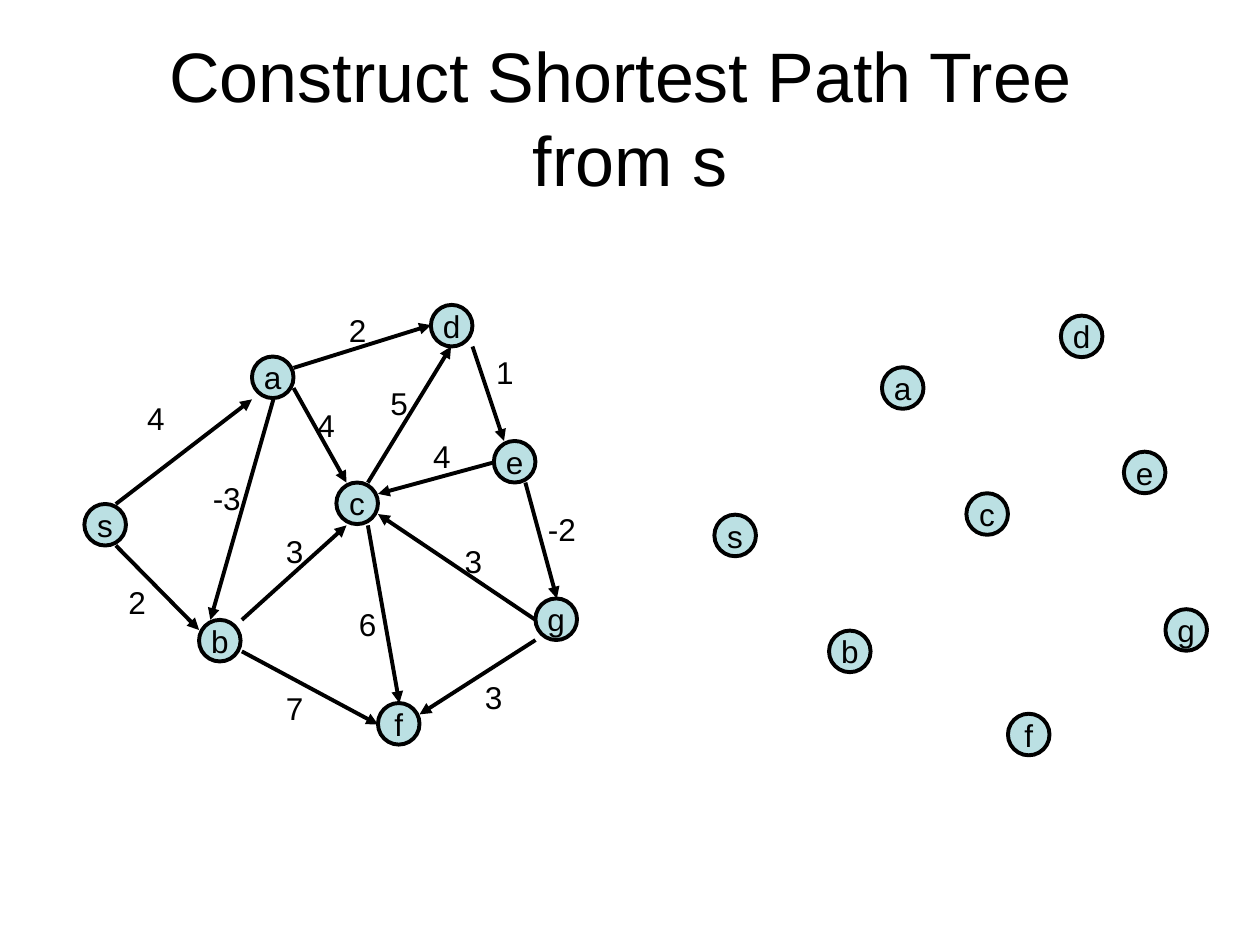
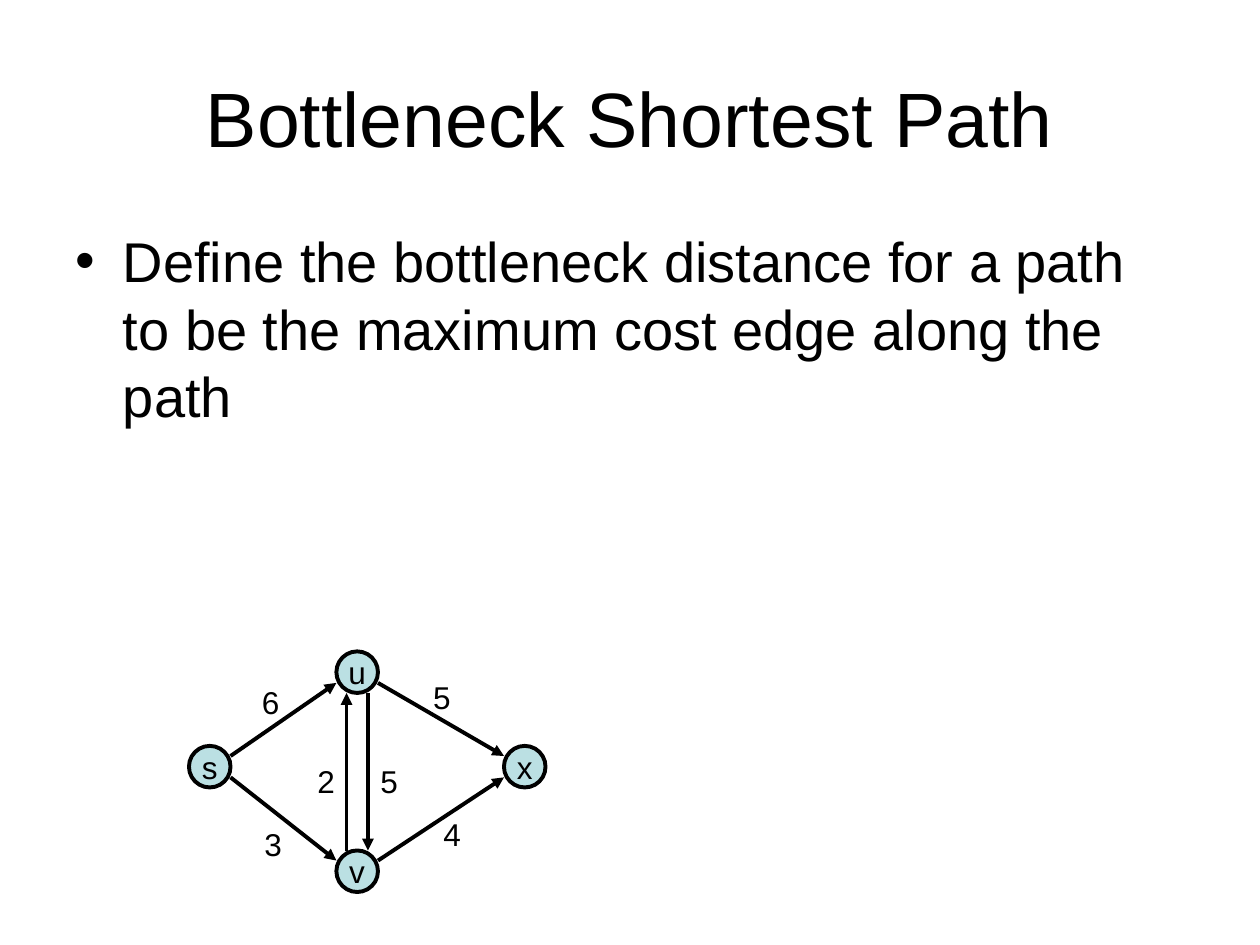
from dataclasses import dataclass

import pptx
import pptx.dml.color
import pptx.enum.shapes
import pptx.enum.text
import pptx.oxml
import pptx.oxml.ns
import pptx.presentation
import pptx.shapes.autoshape
import pptx.slide
import pptx.text.text
import pptx.util
from pptx.util import Inches

COLORS = {"ink": "000000", "node": "BBE0E3", "page": "FFFFFF"}
FONT = "Arial"
GRAPH_SIZE = 18
STROKE = 2.25
NODE_DIAMETER = 0.33
LABEL_HEIGHT = 0.4
CENTER = pptx.enum.text.PP_ALIGN.CENTER
MIDDLE = pptx.enum.text.MSO_ANCHOR.MIDDLE

Point = tuple[float, float]


@dataclass(frozen=True)
class Node:
    name: str
    left: float
    top: float


@dataclass(frozen=True)
class Edge:
    cost: str
    start: Point
    end: Point
    label: Point


TREE_NODES = [
    Node("a", 2, 2.83),
    Node("b", 1.58, 4.92),
    Node("c", 2.67, 3.83),
    Node("s", 0.67, 4),
    Node("e", 3.92, 3.5),
    Node("g", 4.25, 4.75),
    Node("f", 3, 5.58),
    Node("d", 3.42, 2.42),
]
TREE_EDGES = [
    Edge("4", (0.92, 4), (2, 3.17), (1.07, 3.12)),
    Edge("2", (2.33, 2.92), (3.42, 2.58), (2.67, 2.42)),
    Edge("4", (2.33, 3.08), (2.75, 3.83), (2.42, 3.17)),
    Edge("3", (1.92, 4.92), (2.75, 4.17), (2.17, 4.17)),
    Edge("2", (0.92, 4.33), (1.58, 5), (0.92, 4.58)),
    Edge("-3", (2.17, 3.17), (1.67, 4.92), (1.59, 3.75)),
    Edge("7", (1.92, 5.17), (3, 5.75), (2.17, 5.42)),
    Edge("6", (2.92, 4.17), (3.17, 5.58), (2.75, 4.75)),
    Edge("5", (2.92, 3.83), (3.58, 2.75), (3, 3)),
    Edge("4", (3.92, 3.67), (3, 3.92), (3.34, 3.42)),
    Edge("1", (3.75, 2.75), (4, 3.5), (3.84, 2.75)),
    Edge("-2", (4.17, 3.83), (4.42, 4.75), (4.25, 4)),
    Edge("3", (4.25, 4.92), (3, 4.08), (3.59, 4.25)),
    Edge("3", (4.25, 5.08), (3.33, 5.67), (3.75, 5.33)),
]
TREE_COPY_SHIFT = (5, 0.085)

BOTTLENECK_NODES = [
    Node("s", 1.5, 5.92),
    Node("v", 2.67, 6.75),
    Node("x", 4, 5.92),
    Node("u", 2.67, 5.17),
]
BOTTLENECK_EDGES = [
    Edge("6", (1.83, 6), (2.67, 5.42), (1.98, 5.37)),
    Edge("2", (2.75, 6.75), (2.75, 5.5), (2.42, 6)),
    Edge("3", (1.83, 6.17), (2.67, 6.83), (2, 6.5)),
    Edge("5", (3, 5.42), (4, 6), (3.34, 5.33)),
    Edge("4", (3, 6.83), (4, 6.17), (3.42, 6.42)),
    Edge("5", (2.92, 5.5), (2.92, 6.75), (2.92, 6)),
]


def color(name: str) -> pptx.dml.color.RGBColor:
    return pptx.dml.color.RGBColor.from_string(COLORS[name])


def add_run(paragraph: pptx.text.text._Paragraph, words: str, size: float) -> None:
    run = paragraph.add_run()
    run.text = words
    run.font.name = FONT
    run.font.size = pptx.util.Pt(size)
    run.font.color.rgb = color("ink")


def place(holder: pptx.shapes.autoshape.Shape, left: float, top: float,
          width: float, height: float) -> None:
    holder.left, holder.top = Inches(left), Inches(top)
    holder.width, holder.height = Inches(width), Inches(height)
    holder.text_frame.auto_size = pptx.enum.text.MSO_AUTO_SIZE.NONE


def add_titled_slide(deck: pptx.presentation.Presentation, layout: int,
                     lines: list[str], size: float) -> pptx.slide.Slide:
    slide = deck.slides.add_slide(deck.slide_layouts[layout])
    slide.background.fill.solid()
    slide.background.fill.fore_color.rgb = color("page")
    heading = slide.shapes.title
    place(heading, 0.5, 0.3, 9, 1.25)
    heading.text_frame.vertical_anchor = MIDDLE
    paragraph = heading.text_frame.paragraphs[0]
    paragraph.alignment = CENTER
    for index, line in enumerate(lines):
        if index:
            paragraph.add_line_break()
        add_run(paragraph, line, size)
    return slide


def draw_node(slide: pptx.slide.Slide, node: Node, shift: Point) -> None:
    circle = slide.shapes.add_shape(
        pptx.enum.shapes.MSO_SHAPE.OVAL,
        Inches(node.left + shift[0]), Inches(node.top + shift[1]),
        Inches(NODE_DIAMETER), Inches(NODE_DIAMETER))
    circle.shadow.inherit = False
    circle.fill.solid()
    circle.fill.fore_color.rgb = color("node")
    circle.line.color.rgb = color("ink")
    circle.line.width = pptx.util.Pt(STROKE)
    circle.text_frame.word_wrap = False
    circle.text_frame.vertical_anchor = MIDDLE
    paragraph = circle.text_frame.paragraphs[0]
    paragraph.alignment = CENTER
    add_run(paragraph, node.name, GRAPH_SIZE)


def draw_arrow(slide: pptx.slide.Slide, edge: Edge) -> None:
    arrow = slide.shapes.add_connector(
        pptx.enum.shapes.MSO_CONNECTOR.STRAIGHT,
        *map(Inches, edge.start + edge.end))
    arrow.line.color.rgb = color("ink")
    arrow.line.width = pptx.util.Pt(STROKE)
    tip = pptx.oxml.parse_xml(
        f'<a:tailEnd {pptx.oxml.ns.nsdecls("a")} type="triangle"/>')
    arrow.line._get_or_add_ln().append(tip)
    arrow._element.spPr.append(
        pptx.oxml.parse_xml(f'<a:effectLst {pptx.oxml.ns.nsdecls("a")}/>'))


def draw_cost(slide: pptx.slide.Slide, edge: Edge) -> None:
    width = 0.34 if len(edge.cost) == 1 else 0.42
    cost = slide.shapes.add_textbox(
        *map(Inches, edge.label), Inches(width), Inches(LABEL_HEIGHT))
    cost.text_frame.word_wrap = False
    cost.text_frame.auto_size = pptx.enum.text.MSO_AUTO_SIZE.SHAPE_TO_FIT_TEXT
    add_run(cost.text_frame.paragraphs[0], edge.cost, GRAPH_SIZE)


def draw_graph(slide: pptx.slide.Slide, nodes: list[Node], edges: list[Edge],
               shift: Point = (0, 0)) -> None:
    for node in nodes:
        draw_node(slide, node, shift)
    for edge in edges:
        draw_arrow(slide, edge)
    for edge in edges:
        draw_cost(slide, edge)


def build_tree_slide(deck: pptx.presentation.Presentation) -> None:
    slide = add_titled_slide(
        deck, 5, ["Construct Shortest Path Tree ", "from s"], 40)
    draw_graph(slide, TREE_NODES, TREE_EDGES)
    draw_graph(slide, TREE_NODES, [], TREE_COPY_SHIFT)


def build_bottleneck_slide(deck: pptx.presentation.Presentation) -> None:
    slide = add_titled_slide(deck, 1, ["Bottleneck Shortest Path"], 44)
    definition = slide.placeholders[1]
    place(definition, 0.5, 1.75, 9, 1.83)
    paragraph = definition.text_frame.paragraphs[0]
    paragraph.space_before = pptx.util.Pt(0)
    add_run(paragraph, "Define the bottleneck distance for a path to be "
            "the maximum cost edge along the path", 32)
    draw_graph(slide, BOTTLENECK_NODES, BOTTLENECK_EDGES)


def main() -> None:
    deck = pptx.Presentation()
    deck.slide_width, deck.slide_height = Inches(10), Inches(7.5)
    build_tree_slide(deck)
    build_bottleneck_slide(deck)
    deck.save("out.pptx")


if __name__ == "__main__":
    main()
